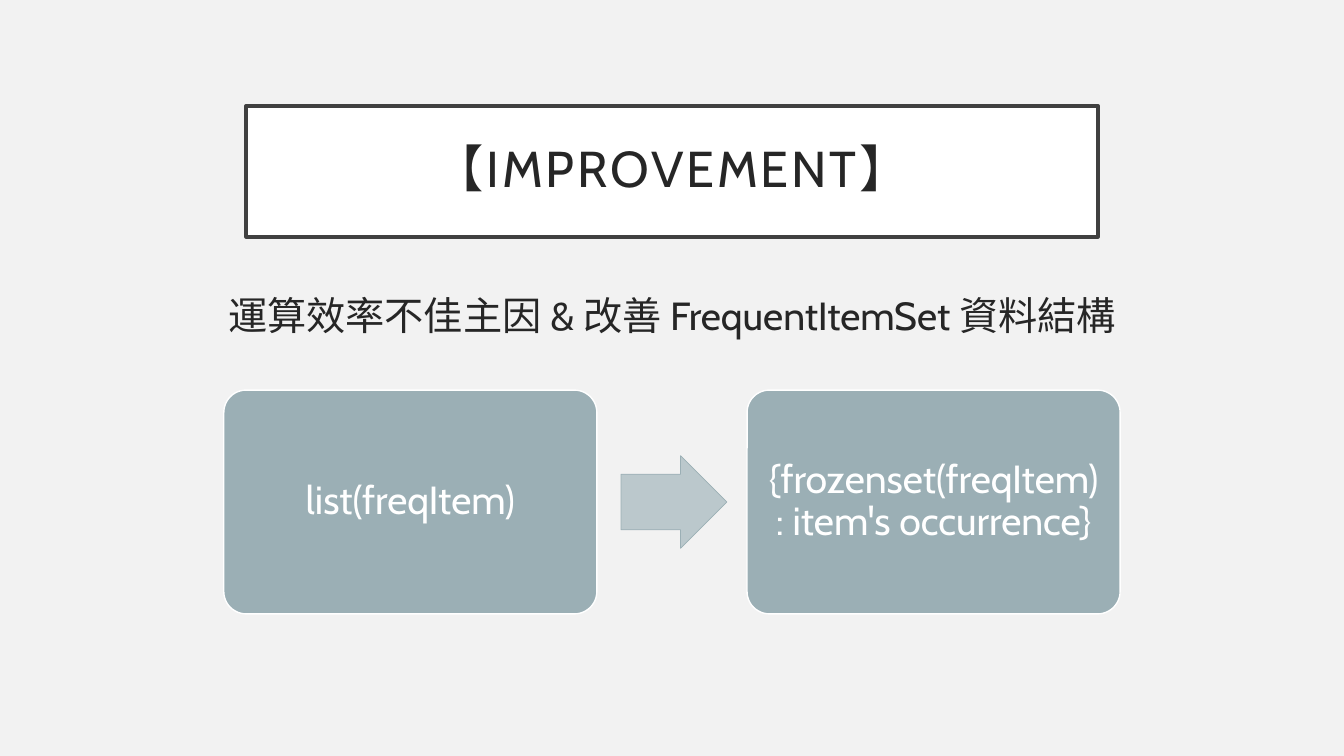
from dataclasses import dataclass

from pptx import Presentation
from pptx.dml.color import RGBColor
from pptx.enum.shapes import MSO_SHAPE
from pptx.enum.text import MSO_ANCHOR, PP_ALIGN
from pptx.shapes.autoshape import Shape
from pptx.slide import Slide
from pptx.util import Inches, Pt


@dataclass(frozen=True)
class Theme:
    font: str = "Cabin"
    background: str = "F2F2F2"
    ink: str = "262626"
    frame: str = "404040"
    white: str = "FFFFFF"
    card: str = "9BAFB5"
    arrow_top: str = "BBC8CC"
    arrow_bottom: str = "B8C6CB"
    title_size: int = 36
    body_size: int = 28


@dataclass(frozen=True)
class Box:
    left: float
    top: float
    width: float
    height: float

    def lengths(self) -> tuple:
        return tuple(Inches(n) for n in (self.left, self.top, self.width, self.height))


@dataclass(frozen=True)
class Card:
    left: float
    text: str


THEME = Theme()
CARD_TOP, CARD_WIDTH, CARD_HEIGHT = 3.87, 3.7, 2.22
CARDS = (
    Card(2.22, "list(freqItem)"),
    Card(7.41, "{frozenset(freqItem): item's occurrence}"),
)


def color(value: str) -> RGBColor:
    return RGBColor.from_string(value)


def add_panel(slide: Slide, kind: MSO_SHAPE, box: Box, *, fill: str,
              line: str, line_width: float) -> Shape:
    shape = slide.shapes.add_shape(kind, *box.lengths())
    shape.shadow.inherit = False
    shape.fill.solid()
    shape.fill.fore_color.rgb = color(fill)
    shape.line.color.rgb = color(line)
    shape.line.width = Pt(line_width)
    return shape


def write_text(shape: Shape, text: str, *, size: int = THEME.body_size,
               ink: str = THEME.ink, anchor: MSO_ANCHOR = MSO_ANCHOR.MIDDLE,
               inset: float = 0.1, line_spacing: float = 1.0,
               space_before: float = 0, tracking: float = 0) -> None:
    frame = shape.text_frame
    frame.word_wrap = True
    frame.vertical_anchor = anchor
    frame.margin_left = frame.margin_right = Inches(inset)
    frame.margin_top = frame.margin_bottom = Inches(inset)
    paragraph = frame.paragraphs[0]
    paragraph.alignment = PP_ALIGN.CENTER
    paragraph.line_spacing = line_spacing
    paragraph.space_before = Pt(space_before)
    run = paragraph.add_run()
    run.text = text
    run.font.name = THEME.font
    run.font.size = Pt(size)
    run.font.color.rgb = color(ink)
    if tracking:
        run._r.get_or_add_rPr().set("spc", str(int(tracking * 100)))


def add_title(slide: Slide) -> None:
    title = add_panel(slide, MSO_SHAPE.RECTANGLE, Box(2.44, 1.05, 8.45, 1.3),
                      fill=THEME.white, line=THEME.frame, line_width=2.5)
    write_text(title, "【IMPROVEMENT】", size=THEME.title_size, inset=0.2,
               line_spacing=0.9, tracking=2)


def add_subtitle(slide: Slide) -> None:
    subtitle = slide.shapes.add_textbox(*Box(2.06, 2.84, 9.21, 3.39).lengths())
    write_text(subtitle, "運算效率不佳主因 & 改善 FrequentItemSet 資料結構",
               anchor=MSO_ANCHOR.TOP, inset=0.05, space_before=10)
    subtitle.text_frame.margin_left = subtitle.text_frame.margin_right = Inches(0.1)


def add_card(slide: Slide, card: Card) -> None:
    box = Box(card.left, CARD_TOP, CARD_WIDTH, CARD_HEIGHT)
    shape = add_panel(slide, MSO_SHAPE.ROUNDED_RECTANGLE, box,
                      fill=THEME.card, line=THEME.white, line_width=1)
    shape.adjustments[0] = 0.1
    write_text(shape, card.text, ink=THEME.white, inset=0.12, line_spacing=0.9)


def add_arrow(slide: Slide) -> None:
    height = 0.92
    box = Box(6.16, CARD_TOP + (CARD_HEIGHT - height) / 2, 1.05, height)
    arrow = add_panel(slide, MSO_SHAPE.RIGHT_ARROW, box, fill=THEME.arrow_top,
                      line=THEME.card, line_width=0.5)
    arrow.adjustments[0] = 0.6
    arrow.adjustments[1] = 0.5
    arrow.fill.gradient()
    arrow.fill.gradient_angle = 270
    for stop, value in zip(arrow.fill.gradient_stops,
                           (THEME.arrow_top, THEME.arrow_bottom)):
        stop.color.rgb = color(value)


def main() -> None:
    presentation = Presentation()
    presentation.slide_width = Inches(13.33)
    presentation.slide_height = Inches(7.5)
    slide = presentation.slides.add_slide(presentation.slide_layouts[6])
    slide.background.fill.solid()
    slide.background.fill.fore_color.rgb = color(THEME.background)

    # Heading
    add_title(slide)
    add_subtitle(slide)

    # Data structure before and after
    for card in CARDS:
        add_card(slide, card)
    add_arrow(slide)

    presentation.save("out.pptx")


if __name__ == "__main__":
    main()
